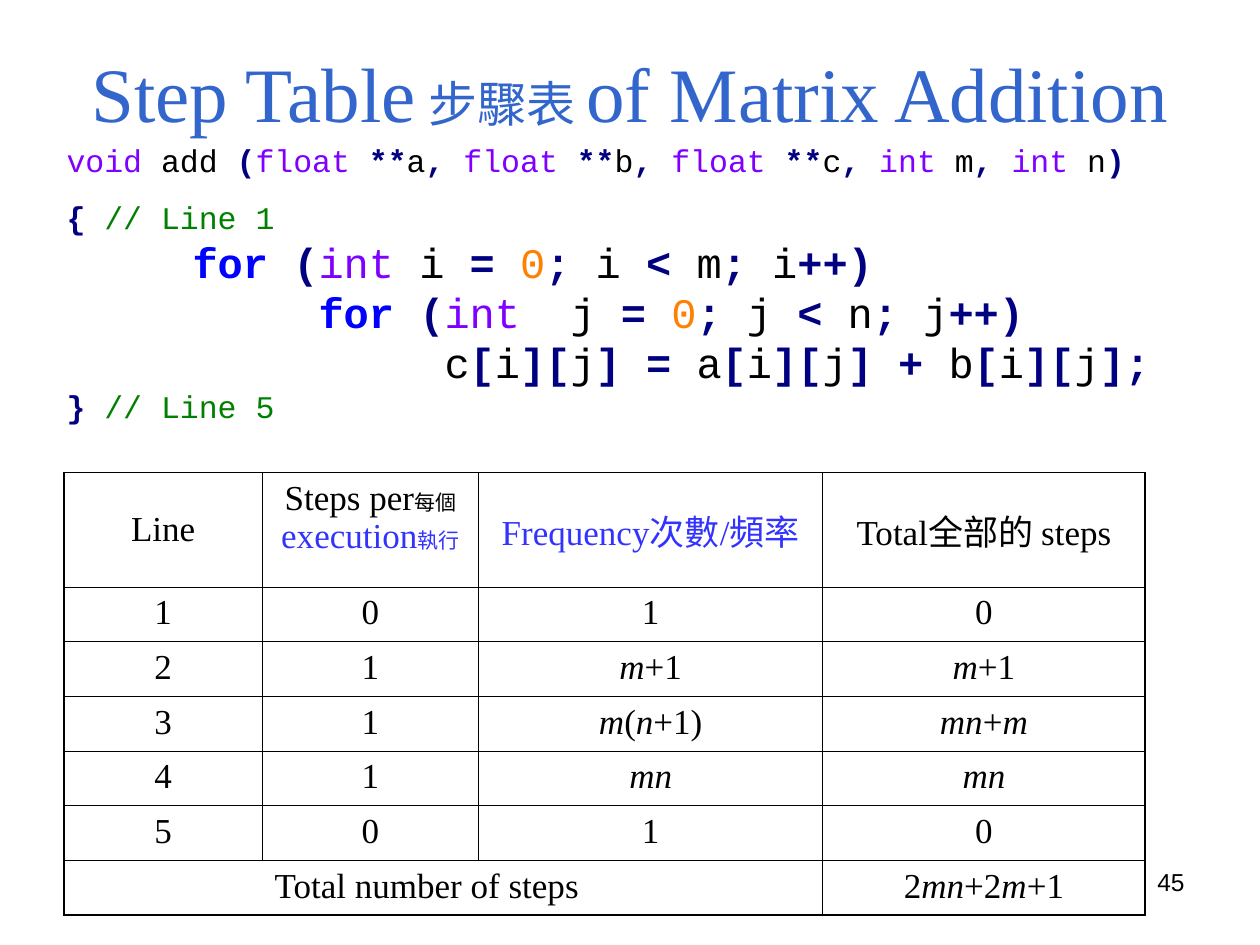
from itertools import groupby
from typing import NamedTuple

from lxml.etree import SubElement
from pptx import Presentation
from pptx.dml.color import RGBColor
from pptx.enum.text import MSO_ANCHOR as Anchor, PP_ALIGN as Align
from pptx.oxml.ns import qn
from pptx.util import Inches, Pt

BLACK = RGBColor(0x00, 0x00, 0x00)
TITLE_BLUE = RGBColor(0x33, 0x66, 0xCC)
HEADER_BLUE = RGBColor(0x33, 0x33, 0xFF)
TYPE_PURPLE = RGBColor(0x80, 0x00, 0xFF)
KEYWORD_BLUE = RGBColor(0x00, 0x00, 0xFF)
OPERATOR_NAVY = RGBColor(0x00, 0x00, 0x80)
NUMBER_ORANGE = RGBColor(0xFF, 0x80, 0x00)
COMMENT_GREEN = RGBColor(0x00, 0x80, 0x00)

SERIF, MONO, SANS = "Times New Roman", "Courier New", "Arial"
THIN, THICK = Pt(0.45), Pt(1.08)


class Run(NamedTuple):
    text: str
    size: float = 20
    color: RGBColor = BLACK
    bold: bool = False
    italic: bool = False
    font: str = SERIF


class CodeLine(NamedTuple):
    text: str
    size: float
    space_before: float = 0


CODE = [
    CodeLine("void add (float **a, float **b, float **c, int m, int n)", 18, 11.2),
    CodeLine("{ // Line 1", 18, 11.2),
    CodeLine("\tfor (int i = 0; i < m; i++)", 24),
    CodeLine("\t\tfor (int  j = 0; j < n; j++)", 24),
    CodeLine("\t\t\tc[i][j] = a[i][j] + b[i][j];", 24),
    CodeLine("} // Line 5", 18),
]

HEADER = [
    [Run("Line")],
    [Run("Steps per"), Run("每個 ", 12),
     Run("execution", color=HEADER_BLUE), Run("執行", 12, HEADER_BLUE)],
    [Run("Frequency次數/頻率", color=HEADER_BLUE)],
    [Run("Total全部的 steps")],
]
STEPS = [
    ("1", "0", "1", "0"),
    ("2", "1", "m+1", "m+1"),
    ("3", "1", "m(n+1)", "mn+m"),
    ("4", "1", "mn", "mn"),
    ("5", "0", "1", "0"),
]
COLUMN_WIDTHS = [1.57, 1.72, 2.73, 2.56]
HEADER_HEIGHT, ROW_HEIGHT = 0.91, 0.43


def write(paragraph, runs: list[Run], *, align=Align.LEFT, space_before: float = 0) -> None:
    paragraph.alignment = align
    paragraph.space_before = Pt(space_before)
    for item in runs:
        run = paragraph.add_run()
        run.text = item.text
        font = run.font
        font.name, font.size = item.font, Pt(item.size)
        font.bold, font.italic = item.bold, item.italic
        font.color.rgb = item.color


def add_frame(slide, left, top, width, height, anchor=Anchor.TOP):
    box = slide.shapes.add_textbox(Inches(left), Inches(top), Inches(width), Inches(height))
    frame = box.text_frame
    frame.word_wrap = True
    frame.vertical_anchor = anchor
    return frame


def character_class(character: str) -> str:
    if character.isspace():
        return "space"
    return "word" if character.isalnum() else "operator"


def highlight(line: CodeLine) -> list[Run]:
    """Split a code line into runs coloured by syntax."""
    code, slashes, comment = line.text.partition("//")
    runs = []
    for kind, characters in groupby(code, character_class):
        token = "".join(characters)
        color = BLACK
        if kind == "operator":
            color = OPERATOR_NAVY
        elif token in ("void", "float", "int"):
            color = TYPE_PURPLE
        elif token == "for":
            color = KEYWORD_BLUE
        elif token.isdigit():
            color = NUMBER_ORANGE
        bold = color in (OPERATOR_NAVY, KEYWORD_BLUE)
        runs.append(Run(token, line.size, color, bold, font=MONO))
    if slashes:
        runs.append(Run(slashes + comment, line.size, COMMENT_GREEN, font=MONO))
    return runs


def formula(text: str) -> list[Run]:
    """Set variables in italics and everything else upright."""
    return [Run("".join(part), italic=is_variable)
            for is_variable, part in groupby(text, str.isalpha)]


def set_tab_stops(paragraph, count: int) -> None:
    tabs = SubElement(paragraph._p.get_or_add_pPr(), qn("a:tabLst"))
    for inch in range(count):
        SubElement(tabs, qn("a:tab"), pos=str(Inches(inch)), algn="l")


def set_borders(cell, widths: dict[str, int]) -> None:
    """Draw the sides L, R, T and B; a width of 0 leaves a side open."""
    properties = cell._tc.get_or_add_tcPr()
    for side, width in widths.items():
        line = SubElement(properties, qn(f"a:ln{side}"), w=str(width))
        if width:
            fill = SubElement(line, qn("a:solidFill"))
            SubElement(fill, qn("a:srgbClr"), val=str(BLACK))
        else:
            SubElement(line, qn("a:noFill"))


def add_code(slide) -> None:
    frame = add_frame(slide, 0.43, 1.07, 8.9, 2.36)
    for index, line in enumerate(CODE):
        paragraph = frame.add_paragraph() if index else frame.paragraphs[0]
        write(paragraph, highlight(line), space_before=line.space_before)
        set_tab_stops(paragraph, 8)


def add_step_table(slide) -> None:
    rows = [HEADER, *([formula(text) for text in row] for row in STEPS),
            [[], [Run("Total number of steps")], [], formula("2mn+2m+1")]]
    last_row, last_column = len(rows) - 1, len(COLUMN_WIDTHS) - 1
    table = slide.shapes.add_table(
        len(rows), len(COLUMN_WIDTHS), Inches(0.51), Inches(3.75),
        Inches(sum(COLUMN_WIDTHS)), Inches(HEADER_HEIGHT + last_row * ROW_HEIGHT)).table
    table.first_row = table.horz_banding = False
    for column, width in zip(table.columns, COLUMN_WIDTHS):
        column.width = Inches(width)
    for r, row in enumerate(rows):
        table.rows[r].height = Inches(ROW_HEIGHT if r else HEADER_HEIGHT)
        for c, runs in enumerate(row):
            cell = table.cell(r, c)
            is_steps_header = (r, c) == (0, 1)
            is_total_label = (r, c) == (last_row, 1)
            if r == 0 and not is_steps_header:
                cell.vertical_anchor = Anchor.MIDDLE
            set_borders(cell, {
                "L": 0 if is_total_label else THIN if c else THICK,
                "R": 0 if (r, c) == (last_row, 0) else THICK if c == last_column else THIN,
                "T": THIN if r else THICK,
                "B": THICK if r == last_row else THIN,
            })
            cell.fill.background()
            write(cell.text_frame.paragraphs[0], runs,
                  align=Align.LEFT if is_total_label else Align.CENTER,
                  space_before=3 if is_steps_header else 5)
    table.cell(last_row, 1).merge(table.cell(last_row, 2))


def main() -> None:
    presentation = Presentation()
    presentation.slide_width, presentation.slide_height = Inches(10), Inches(7.5)
    slide = presentation.slides.add_slide(presentation.slide_layouts[6])

    number = add_frame(slide, 7.17, 6.83, 2.33, 0.52)
    write(number.paragraphs[0], [Run("45", 14, font=SANS)], align=Align.RIGHT)
    title = add_frame(slide, 0.5, 0.3, 9, 0.85, Anchor.MIDDLE)
    write(title.paragraphs[0],
          [Run("Step Table", 44, TITLE_BLUE), Run(" 步驟表 ", 28, TITLE_BLUE),
           Run("of Matrix Addition", 44, TITLE_BLUE)], align=Align.CENTER)
    add_step_table(slide)
    add_code(slide)
    presentation.save("out.pptx")


if __name__ == "__main__":
    main()
